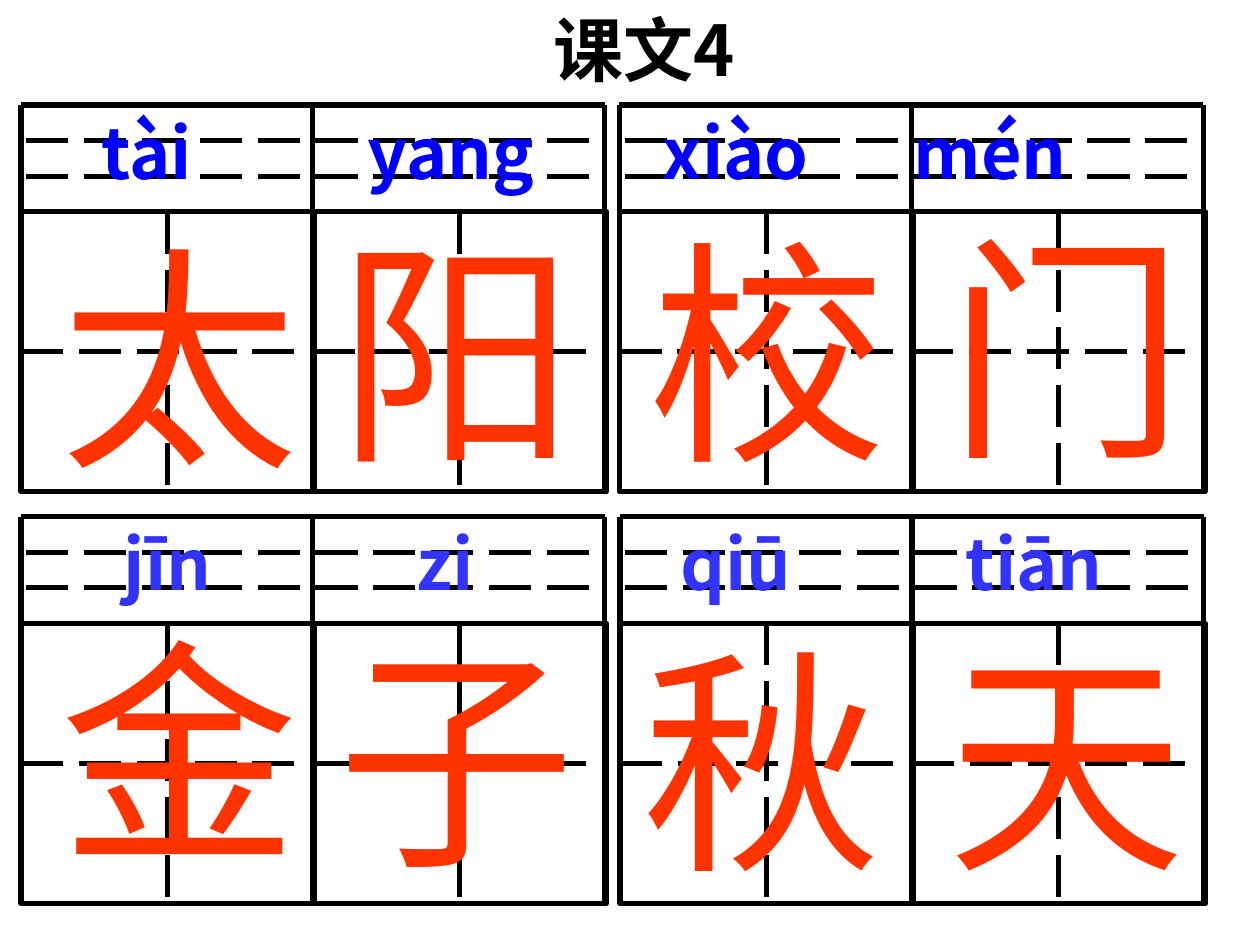
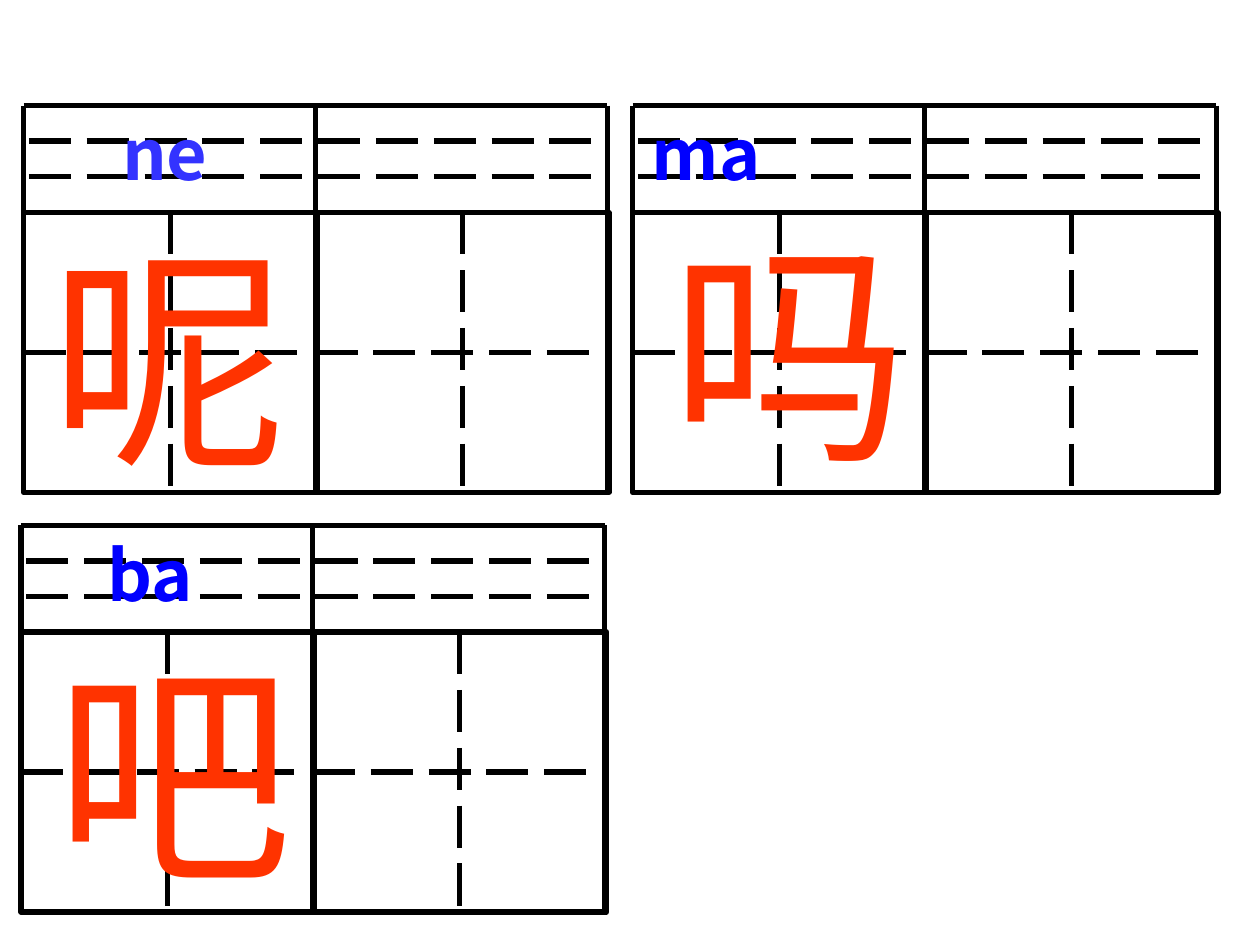
from dataclasses import dataclass

from lxml.etree import SubElement
from pptx import Presentation
from pptx.dml.color import RGBColor
from pptx.enum.dml import MSO_LINE
from pptx.enum.shapes import MSO_CONNECTOR, MSO_SHAPE
from pptx.enum.text import MSO_ANCHOR, MSO_AUTO_SIZE, PP_ALIGN
from pptx.oxml.ns import qn
from pptx.util import Pt

BLACK = RGBColor(0x00, 0x00, 0x00)
ORANGE = RGBColor(0xFF, 0x33, 0x00)
BLUE = RGBColor(0x00, 0x00, 0xFF)
SOFT_BLUE = RGBColor(0x33, 0x33, 0xFF)

HAN_FONT = "Noto Sans CJK SC"
LATIN_FONT = "Arial"

# Writing grid: a band for pinyin above two square cells
PITCH = 166.8
CELL_WIDTH, CELL_HEIGHT = 167.75, 160
BAND = 61
CROSS_LENGTH = 164
GUIDE_INDENT = 3
LINE_WIDTH = 3

INSET = 7.2
GLYPH_WIDTH, GLYPH_HEIGHT = 164.5, 170.6
ROW_HEIGHT = 55.4


@dataclass
class Grid:
    left: float
    top: float


@dataclass
class Glyph:
    text: str
    left: float
    top: float
    font: str = LATIN_FONT


@dataclass
class Syllable:
    text: str
    x: float
    color: RGBColor = BLUE


@dataclass
class PinyinRow:
    left: float
    top: float
    width: float
    syllables: list[Syllable]


@dataclass
class Lesson:
    grids: list[Grid]
    glyphs: list[Glyph]
    rows: list[PinyinRow]
    title: str = ""


LESSONS = [
    Lesson(
        title="课文4",
        grids=[Grid(12, 60), Grid(354, 60), Grid(12, 295.2), Grid(354.3, 295.2)],
        glyphs=[
            Glyph("太", 27.4, 117.4),
            Glyph("阳", 185.8, 113.8),
            Glyph("校", 363.6, 113.8),
            Glyph("门", 534.2, 111.6),
            Glyph("金", 27.4, 342, HAN_FONT),
            Glyph("子", 185.8, 345.6, HAN_FONT),
            Glyph("秋", 360, 347.8),
            Glyph("天", 534.2, 347.8),
        ],
        rows=[
            PinyinRow(5.8, 59, 689.8, [
                Syllable("tài", 58.3), Syllable("yang", 210.3),
                Syllable("xiào", 378.9), Syllable("mén", 522.3),
            ]),
            PinyinRow(0, 293.8, 717, [
                Syllable("jīn", 70.9, SOFT_BLUE), Syllable("zi", 238.3, SOFT_BLUE),
                Syllable("qiū", 389.1, SOFT_BLUE), Syllable("tiān", 552, SOFT_BLUE),
            ]),
        ],
    ),
    Lesson(
        grids=[Grid(13.5, 60.3), Grid(361.5, 60.3), Grid(12, 300.2)],
        glyphs=[
            Glyph("呢", 21.6, 117.4),
            Glyph("吗", 375.8, 113.8),
            Glyph("吧", 23.8, 354.2),
        ],
        rows=[
            PinyinRow(8.6, 59.8, 717, [
                Syllable("ne", 69.9, SOFT_BLUE), Syllable("ma", 372.6),
            ]),
            PinyinRow(0, 300.2, 437.8, [Syllable("ba", 61.6)]),
        ],
    ),
]


def add_line(shapes, x1: float, y1: float, x2: float, y2: float, *, dashed: bool = False):
    line = shapes.add_connector(MSO_CONNECTOR.STRAIGHT, Pt(x1), Pt(y1), Pt(x2), Pt(y2))
    line.line.color.rgb = BLACK
    line.line.width = Pt(LINE_WIDTH)
    if dashed:
        line.line.dash_style = MSO_LINE.LONG_DASH
    SubElement(line._element.spPr, qn("a:effectLst"))
    return line


def add_cell(shapes, left: float, top: float) -> None:
    cell = shapes.add_shape(
        MSO_SHAPE.RECTANGLE, Pt(left), Pt(top), Pt(CELL_WIDTH), Pt(CELL_HEIGHT))
    cell.shadow.inherit = False
    cell.fill.background()
    cell.line.color.rgb = BLACK
    cell.line.width = Pt(LINE_WIDTH)

    center, middle = left + CELL_WIDTH / 2, top + CELL_HEIGHT / 2
    upright = add_line(shapes, center, top, center, top + CELL_HEIGHT, dashed=True)
    upright.begin_connect(cell, 0)
    upright.end_connect(cell, 2)
    cross = add_line(shapes, left, middle, left + CROSS_LENGTH, middle, dashed=True)
    cross.begin_connect(cell, 1)


def add_grid(page, grid: Grid) -> None:
    shapes = page.shapes.add_group_shape().shapes
    right = grid.left + 2 * PITCH
    for column in range(2):
        add_cell(shapes, grid.left + column * PITCH, grid.top + BAND)
    # Top edge and the two dashed pinyin guides
    add_line(shapes, grid.left, grid.top, right, grid.top)
    for step in (1, 2):
        y = grid.top + step * BAND / 3
        add_line(shapes, grid.left + GUIDE_INDENT, y, right, y, dashed=True)
    # Sides and divider
    for column in range(3):
        x = grid.left + column * PITCH
        add_line(shapes, x, grid.top, x, grid.top + BAND + CELL_HEIGHT)


def add_span(para, text: str, *, size: float, color: RGBColor,
             font: str = HAN_FONT, bold: bool = False) -> None:
    span = para.add_run()
    span.text = text
    span.font.size = Pt(size)
    span.font.bold = bold
    span.font.color.rgb = color
    span.font.name = font
    SubElement(span._r.get_or_add_rPr(), qn("a:ea"), typeface=HAN_FONT)


def prepare_box(box):
    """Set the shared frame format and return the first paragraph."""
    frame = box.text_frame
    frame.word_wrap = True
    frame.auto_size = MSO_AUTO_SIZE.SHAPE_TO_FIT_TEXT
    frame.vertical_anchor = MSO_ANCHOR.TOP
    para = frame.paragraphs[0]
    para.alignment = PP_ALIGN.LEFT
    return para


def add_box(page, left: float, top: float, width: float, height: float):
    return prepare_box(page.shapes.add_textbox(Pt(left), Pt(top), Pt(width), Pt(height)))


def add_glyph(page, glyph: Glyph) -> None:
    para = add_box(page, glyph.left, glyph.top, GLYPH_WIDTH, GLYPH_HEIGHT)
    add_span(para, glyph.text, size=136, color=ORANGE, font=glyph.font)


def add_pinyin(page, row: PinyinRow) -> None:
    para = add_box(page, row.left, row.top, row.width, ROW_HEIGHT)
    # One tab stop places each syllable
    stops = SubElement(para._p.get_or_add_pPr(), qn("a:tabLst"))
    for syllable in row.syllables:
        position = Pt(syllable.x - row.left - INSET)
        SubElement(stops, qn("a:tab"), pos=str(int(position)), algn="l")
        add_span(para, "\t" + syllable.text, size=40, color=syllable.color, bold=True)


def set_title(page, text: str) -> None:
    title = page.shapes.title
    title.left, title.top = Pt(309), Pt(0)
    title.width, title.height = Pt(181.4), Pt(ROW_HEIGHT)
    add_span(prepare_box(title), text, size=40, color=BLACK, bold=True)


def main() -> None:
    deck = Presentation()
    deck.slide_width, deck.slide_height = Pt(720), Pt(540)
    title_only, blank = deck.slide_layouts[5], deck.slide_layouts[6]
    for lesson in LESSONS:
        page = deck.slides.add_slide(title_only if lesson.title else blank)
        if lesson.title:
            set_title(page, lesson.title)
        for grid in lesson.grids:
            add_grid(page, grid)
        for glyph in lesson.glyphs:
            add_glyph(page, glyph)
        for row in lesson.rows:
            add_pinyin(page, row)
    deck.save("out.pptx")


if __name__ == "__main__":
    main()
